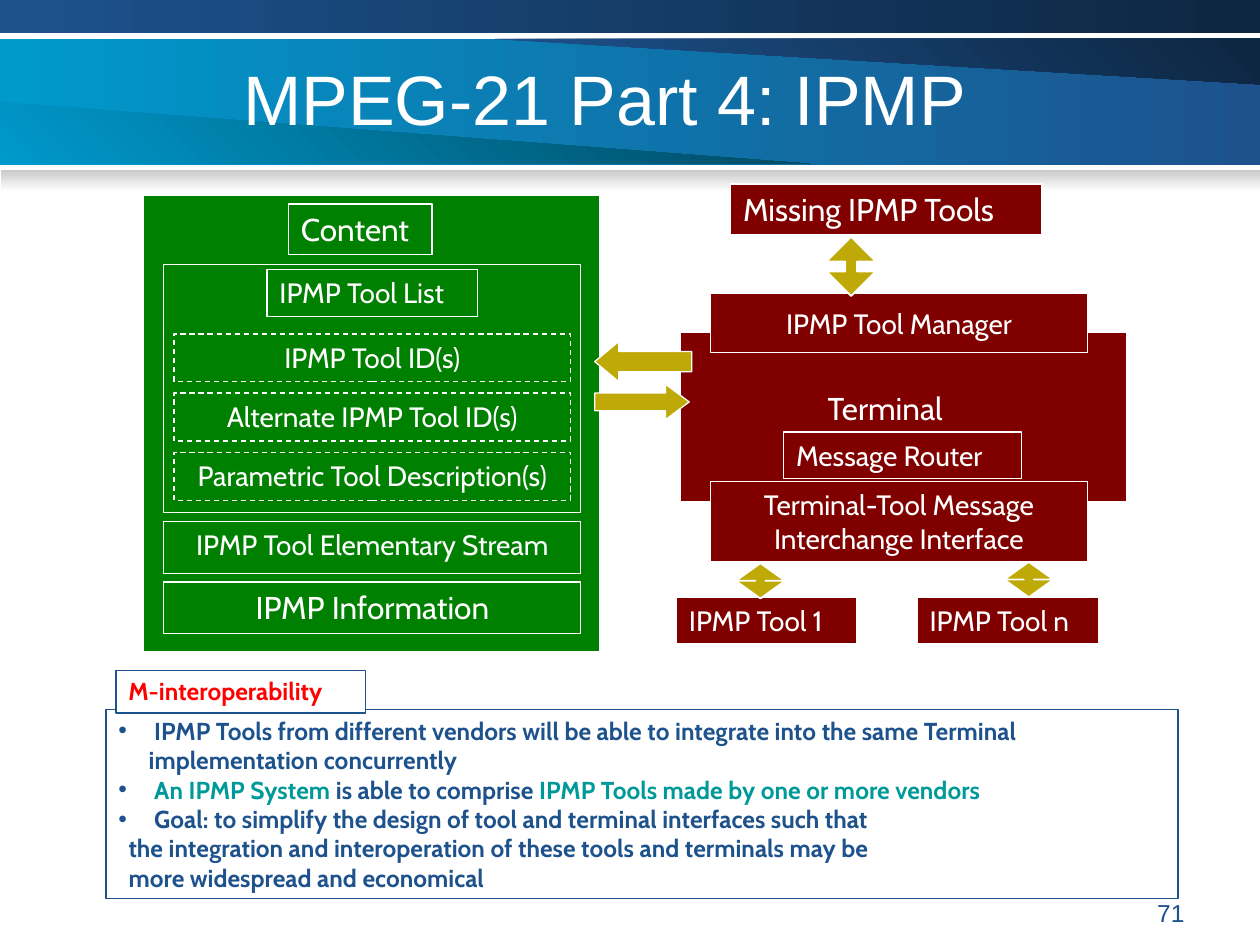
import pptx
import pptx.util
import pptx.dml.color
import pptx.enum.dml
import pptx.enum.shapes
import pptx.enum.text
import pptx.oxml
import pptx.oxml.ns
from dataclasses import dataclass

Inches = pptx.util.Inches
Pt = pptx.util.Pt
Kind = pptx.enum.shapes.MSO_SHAPE
Align = pptx.enum.text.PP_ALIGN
Anchor = pptx.enum.text.MSO_ANCHOR
Fit = pptx.enum.text.MSO_AUTO_SIZE


@dataclass(frozen=True)
class Theme:
    white: str = "FFFFFF"
    navy: str = "1D528D"
    night: str = "0D2641"
    sky: str = "0099CC"
    deep: str = "00475E"
    grey: str = "CACACA"
    green: str = "008000"
    maroon: str = "800000"
    gold: str = "BFA907"
    teal: str = "009999"
    red: str = "FF0000"
    head: int = 40
    large: int = 18
    mid: int = 16
    small: int = 14
    sans: str = "Arial"
    text: str = "Cabin"


theme = Theme()


def paint(shape, fill=None, line=None, width=0.75):
    if hasattr(shape, "shadow"):
        shape.shadow.inherit = False
    if isinstance(fill, tuple):
        shape.fill.gradient()
        shape.fill.gradient_angle = fill[2]
        for stop, tone in zip(shape.fill.gradient_stops, fill):
            stop.color.rgb = pptx.dml.color.RGBColor.from_string(tone)
    elif fill:
        shape.fill.solid()
        shape.fill.fore_color.rgb = pptx.dml.color.RGBColor.from_string(fill)
    else:
        shape.fill.background()
    if line:
        shape.line.color.rgb = pptx.dml.color.RGBColor.from_string(line)
        shape.line.width = Pt(width)
    else:
        shape.line.fill.background()


def write(shape, paras, size, tone=theme.white, align=Align.LEFT,
          anchor=Anchor.TOP, face=theme.text, bold=False):
    frame = shape.text_frame
    frame.word_wrap = True
    frame.auto_size = Fit.NONE
    frame.vertical_anchor = anchor
    for i, runs in enumerate(paras):
        para = frame.paragraphs[0] if i == 0 else frame.add_paragraph()
        para.alignment = align
        para.space_before = Pt(0)
        for words, shade in runs:
            run = para.add_run()
            run.text = words
            run.font.name = face
            run.font.size = Pt(size)
            run.font.bold = bold
            run.font.color.rgb = pptx.dml.color.RGBColor.from_string(shade or tone)


deck = pptx.Presentation()
deck.slide_width = Inches(10)
deck.slide_height = Inches(7.5)
slide = deck.slides.add_slide(deck.slide_layouts[1])
shapes = slide.shapes
title, body = slide.placeholders

band = shapes.add_shape(Kind.RECTANGLE, 0, Inches(0.31), Inches(10), Inches(1))
paint(band, (theme.sky, theme.navy, 0))
wedges = [
    ([(10, 0.31), (3.93, 0.31), (10, 0.67)], (theme.navy, theme.night, 45)),
    ([(0, 1.3), (6.43, 1.3), (0, 0.81)], (theme.sky, theme.deep, 45)),
]
for points, fill in wedges:
    spots = [(Inches(x), Inches(y)) for x, y in points]
    pen = shapes.build_freeform(*spots[0])
    pen.add_line_segments(spots[1:], close=True)
    paint(pen.convert_to_shape(), fill)
strips = [
    (0, 0, 10, 0.26, (theme.navy, theme.night, 0)),
    (0.01, 1.35, 9.99, 0.17, (theme.grey, theme.white, 270)),
]
for *place, fill in strips:
    paint(shapes.add_shape(Kind.RECTANGLE, *map(Inches, place)), fill)

shapes.element.append(title.element)
title.left, title.top = Inches(1.83), Inches(0.3)
title.width, title.height = Inches(7.25), Inches(0.95)
write(title, [[("MPEG-21 Part 4: IPMP", None)]], theme.head,
      anchor=Anchor.MIDDLE, face=theme.sans)

page = shapes.add_textbox(Inches(7.17), Inches(7.08), Inches(2.33), Inches(0.27))
write(page, [[("71", None)]], theme.small, theme.navy, Align.RIGHT, face=theme.sans)

left, mid = Align.LEFT, Align.CENTER
names = ["IPMP Tool ID(s)", "Alternate IPMP Tool ID(s)", "Parametric Tool Description(s)"]
boxes = [
    ([], 1.14, 1.55, 3.62, 3.62, theme.green, theme.mid, left),
    ([], 1.3, 2.1, 3.31, 1.97, None, theme.mid, left),
    (["Content"], 2.29, 1.62, 1.14, 0.4, None, theme.large, left),
    (["IPMP Tool List"], 2.12, 2.14, 1.67, 0.37, None, theme.mid, left),
    (["IPMP Tool Elementary Stream"], 1.3, 4.14, 3.31, 0.41, None, theme.mid, mid),
    (["IPMP Information"], 1.3, 4.62, 3.31, 0.41, None, theme.large, mid),
    ([], 5.4, 2.64, 3.54, 1.34, theme.maroon, theme.mid, left),
    (["IPMP Tool Manager"], 5.64, 2.33, 2.99, 0.47, theme.maroon, theme.mid, mid),
    (["Terminal-Tool Message", "Interchange Interface"],
     5.64, 3.82, 2.99, 0.64, theme.maroon, theme.mid, mid),
    (["Missing IPMP Tools"], 5.8, 1.46, 2.47, 0.4, theme.maroon, theme.large, left),
    (["Message Router"], 6.22, 3.43, 1.89, 0.37, theme.maroon, theme.mid, left),
    (["IPMP Tool 1"], 5.37, 4.74, 1.43, 0.37, theme.maroon, theme.mid, left),
    (["IPMP Tool n"], 7.28, 4.74, 1.44, 0.37, theme.maroon, theme.mid, left),
]
for lines, x, y, w, h, fill, size, align in boxes:
    box = shapes.add_shape(Kind.RECTANGLE, Inches(x), Inches(y), Inches(w), Inches(h))
    paint(box, fill, theme.white)
    anchor = Anchor.MIDDLE if lines == ["IPMP Tool Manager"] else Anchor.TOP
    write(box, [[(line, None)] for line in lines], size, align=align, anchor=anchor)

for i, name in enumerate(names):
    box = shapes.add_shape(Kind.RECTANGLE, Inches(1.38), Inches(2.65 + 0.47 * i),
                           Inches(3.15), Inches(0.38))
    paint(box, None, theme.white)
    box.line.dash_style = pptx.enum.dml.MSO_LINE.DASH
    write(box, [[(name, None)]], theme.mid, align=mid)

label = shapes.add_textbox(Inches(6.47), Inches(3.04), Inches(1.24), Inches(0.4))
write(label, [[("Terminal", None)]], theme.large)

arrows = [
    (Kind.LEFT_ARROW, 4.72, 2.71, 0.77, 0.32, 0.6, 0.75),
    (Kind.RIGHT_ARROW, 4.72, 3.05, 0.75, 0.28, 0.67, 0.75),
    (Kind.UP_DOWN_ARROW, 6.56, 1.88, 0.39, 0.47, 0.24, 1),
    (Kind.UP_DOWN_ARROW, 5.84, 4.47, 0.39, 0.28, 0.2, 1),
    (Kind.UP_DOWN_ARROW, 7.97, 4.46, 0.39, 0.28, 0.2, 1),
]
for kind, x, y, w, h, tip, width in arrows:
    arrow = shapes.add_shape(kind, Inches(x), Inches(y), Inches(w), Inches(h))
    arrow.adjustments[0] = 0.5
    arrow.adjustments[1] = tip
    paint(arrow, theme.gold, theme.white, width)

body.left, body.top = Inches(0.84), Inches(5.63)
body.width, body.height = Inches(8.51), Inches(1.5)
paint(body, theme.white, theme.navy)
points = [
    [(" IPMP Tools from different vendors will be able to integrate into "
      "the same Terminal implementation concurrently", None)],
    [(" ", None), ("An IPMP System", theme.teal), (" is able to comprise ", None),
     ("IPMP Tools made by one or more vendors", theme.teal)],
    [(" Goal: to simplify the design of tool and terminal interfaces such that", None)],
    [("the integration and interoperation of these tools and terminals may be", None)],
    [("more widespread and economical", None)],
]
write(body, points, theme.small, theme.navy, bold=True)
space = pptx.oxml.ns.nsdecls("a")
for i, para in enumerate(body.text_frame.paragraphs):
    props = para._p.get_or_add_pPr()
    dot = i < 3
    props.set("marL", str(Inches(0.24 if dot else 0.08)))
    props.set("indent", str(Inches(-0.24 if dot else 0)))
    marks = [
        f'<a:buClr {space}><a:srgbClr val="{theme.navy}"/></a:buClr>',
        f'<a:buFont {space} typeface="{theme.sans}"/>',
        f'<a:buChar {space} char="•"/>',
    ] if dot else [f"<a:buNone {space}/>"]
    for mark in marks:
        props.append(pptx.oxml.parse_xml(mark))

tag = shapes.add_shape(Kind.RECTANGLE, Inches(0.92), Inches(5.32), Inches(1.98), Inches(0.34))
paint(tag, theme.white, theme.navy)
write(tag, [[("M-interoperability", None)]], theme.small, theme.red, bold=True)

deck.save("out.pptx")
